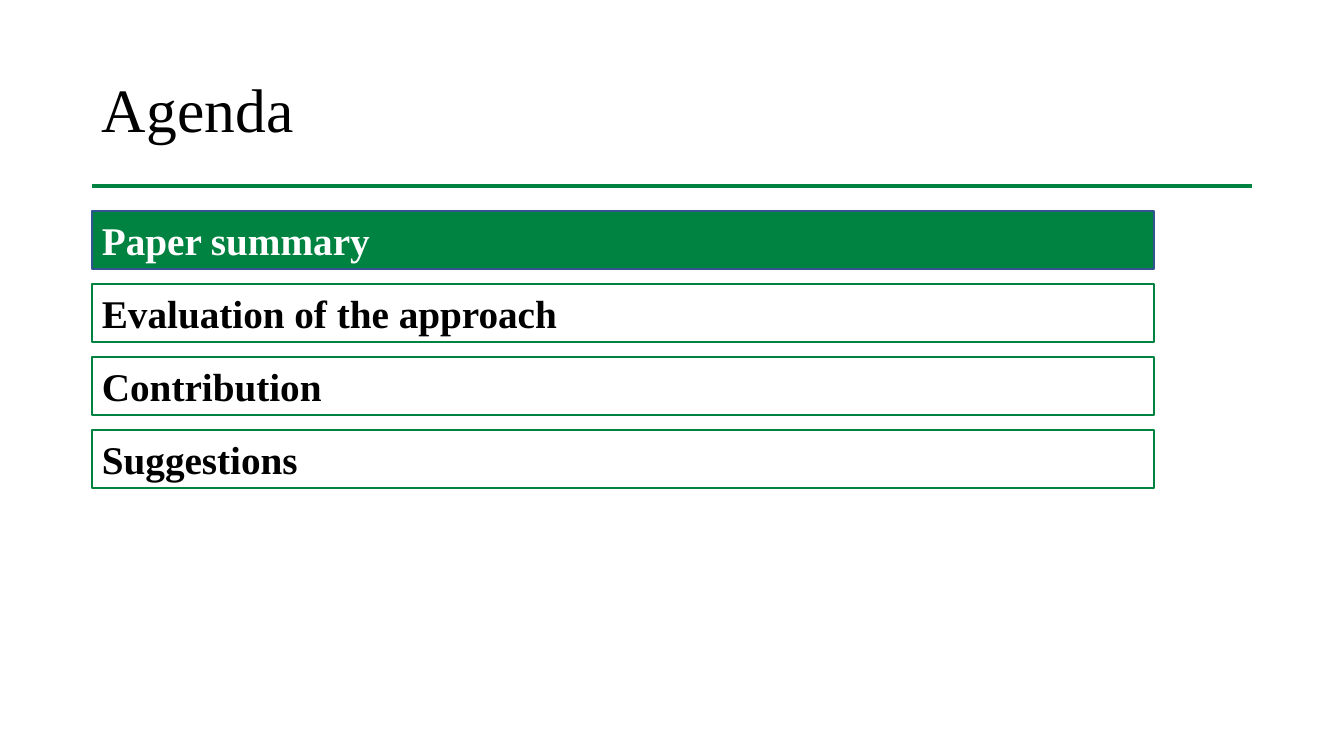
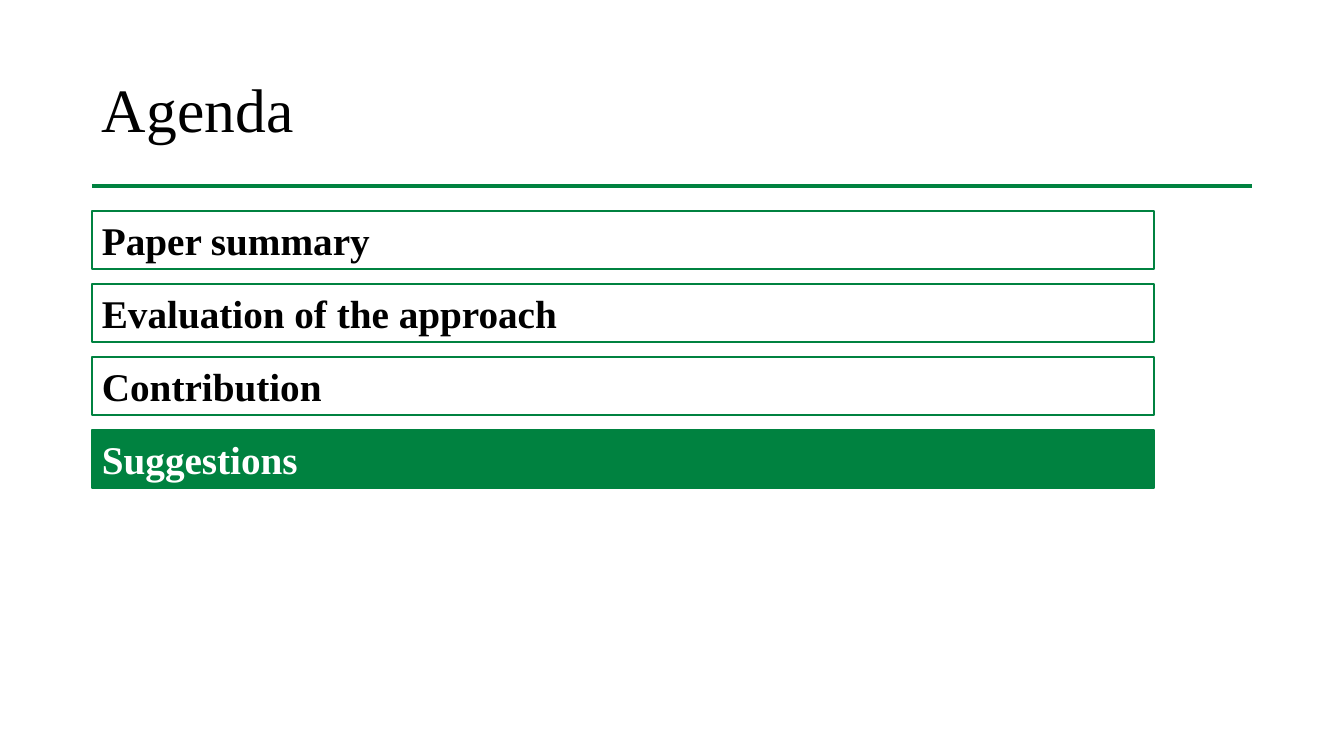
from lxml.etree import SubElement
from pptx import Presentation
from pptx.dml.color import RGBColor
from pptx.enum.shapes import MSO_CONNECTOR, MSO_SHAPE
from pptx.enum.text import MSO_ANCHOR, PP_ALIGN
from pptx.oxml.ns import qn
from pptx.util import Emu, Pt

GREEN = RGBColor(0x00, 0x82, 0x40)
BLUE = RGBColor(0x32, 0x54, 0x91)
BLACK = RGBColor(0x00, 0x00, 0x00)
WHITE = RGBColor(0xFF, 0xFF, 0xFF)

FONT = "Times New Roman"
TITLE_FORMAT = {"name": FONT, "size": Pt(44), "bold": False}
TOPIC_FORMAT = {"name": FONT, "size": Pt(28), "bold": True}

EMU_PER_PIXEL = 914400 / 100.8
LEFT = 92
CONTENT_WIDTH = 1160
RULE_TOP = 186
TOPIC_TOP, TOPIC_WIDTH, TOPIC_HEIGHT, TOPIC_PITCH = 211, 1062, 58, 73

TOPICS = ("Paper summary", "Evaluation of the approach", "Contribution", "Suggestions")
AGENDAS = (("Paper summary", BLUE), ("Suggestions", GREEN))


def pixels(*lengths):
    """Turn pixel lengths into EMU."""
    return [Emu(round(length * EMU_PER_PIXEL)) for length in lengths]


def write_text(shape, text, color, text_format, line_spacing=1.0):
    """Write one left-aligned, vertically centred paragraph."""
    frame = shape.text_frame
    frame.word_wrap = True
    frame.vertical_anchor = MSO_ANCHOR.MIDDLE
    para = frame.paragraphs[0]
    para.alignment = PP_ALIGN.LEFT
    para.line_spacing = line_spacing
    span = para.add_run()
    span.text = text
    span.font.color.rgb = color
    for attribute, value in text_format.items():
        setattr(span.font, attribute, value)


def add_title(page, text):
    """Add the title and the green rule below it."""
    box = page.shapes.add_textbox(*pixels(LEFT, 40, CONTENT_WIDTH, 146))
    write_text(box, text, BLACK, TITLE_FORMAT, line_spacing=0.9)
    rule = page.shapes.add_connector(
        MSO_CONNECTOR.STRAIGHT,
        *pixels(LEFT, RULE_TOP, LEFT + CONTENT_WIDTH, RULE_TOP),
    )
    rule.line.color.rgb = GREEN
    rule.line.width = Pt(3.5)
    SubElement(rule.line._get_or_add_ln().getparent(), qn("a:effectLst"))


def add_topic(page, row, text, active, border):
    """Add one agenda bar, filled green when it is active."""
    top = TOPIC_TOP + row * TOPIC_PITCH
    bar = page.shapes.add_shape(
        MSO_SHAPE.RECTANGLE, *pixels(LEFT, top, TOPIC_WIDTH, TOPIC_HEIGHT)
    )
    bar.shadow.inherit = False
    if active:
        bar.fill.solid()
        bar.fill.fore_color.rgb = GREEN
    else:
        bar.fill.background()
    bar.line.color.rgb = border
    bar.line.width = Pt(1)
    write_text(bar, text, WHITE if active else BLACK, TOPIC_FORMAT)


def add_agenda(deck, current, current_border):
    """Add an agenda page with the current topic highlighted."""
    page = deck.slides.add_slide(deck.slide_layouts[6])
    add_title(page, "Agenda")
    for row, topic in enumerate(TOPICS):
        active = topic == current
        add_topic(page, row, topic, active, current_border if active else GREEN)


def main():
    """Build and save the deck."""
    deck = Presentation()
    deck.slide_width, deck.slide_height = pixels(1344, 756)
    for current, current_border in AGENDAS:
        add_agenda(deck, current, current_border)
    deck.save("out.pptx")


main()
